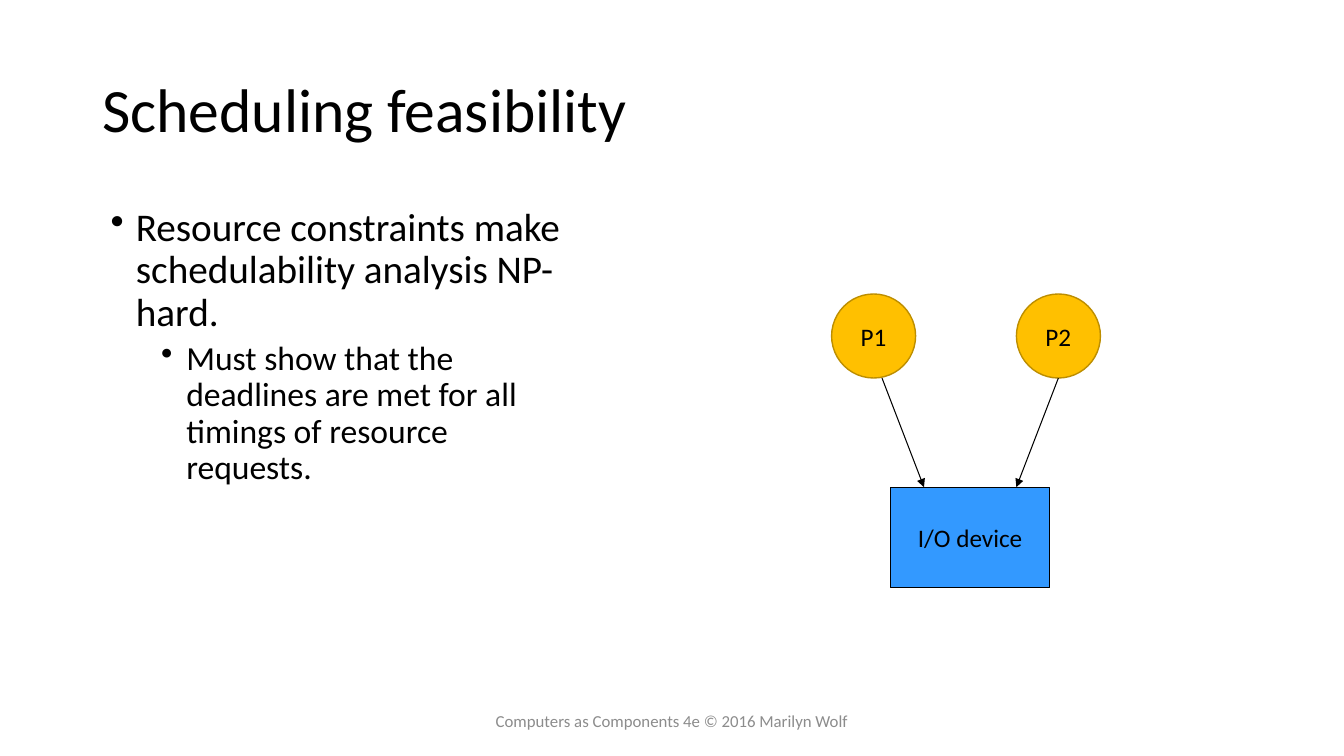
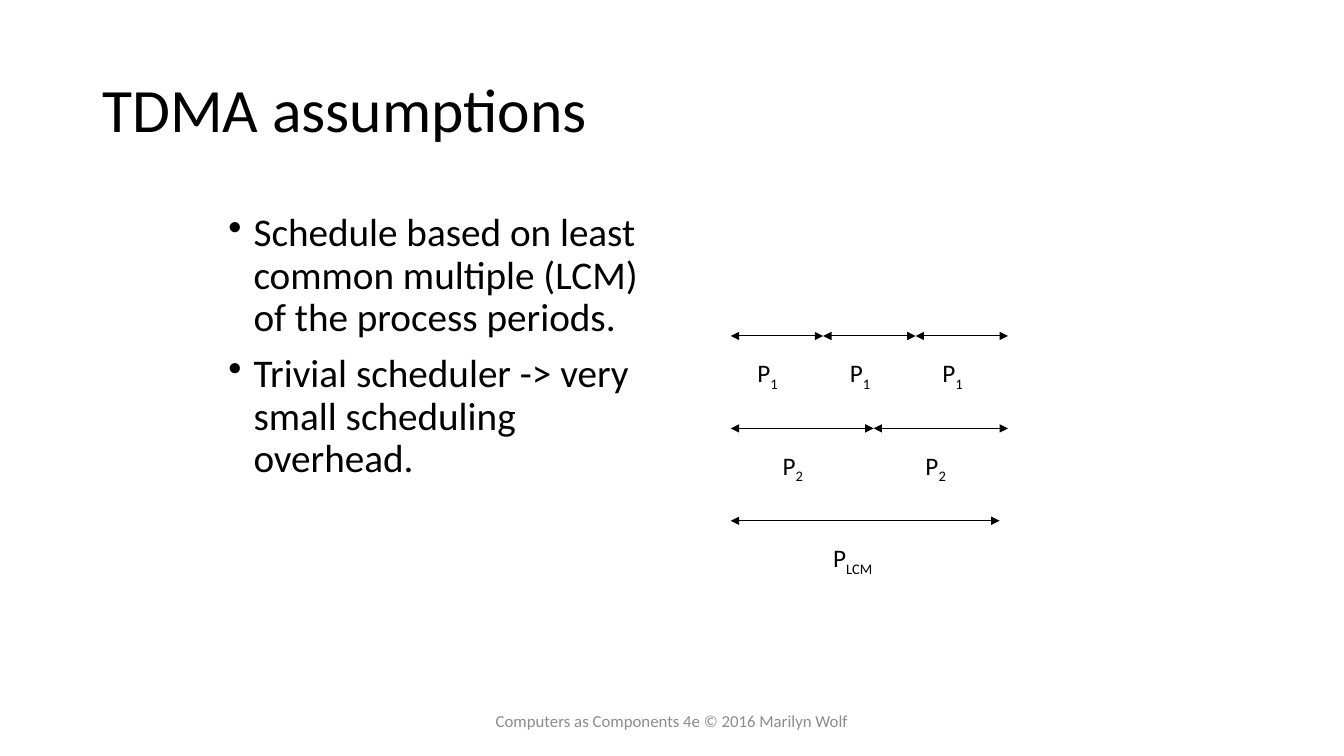
from itertools import pairwise

from lxml import etree
from pptx import Presentation
from pptx.dml.color import RGBColor
from pptx.enum.shapes import MSO_CONNECTOR, MSO_SHAPE
from pptx.enum.text import MSO_ANCHOR, MSO_AUTO_SIZE, PP_ALIGN
from pptx.oxml.ns import qn
from pptx.util import Emu, Pt

OVAL, RECT = MSO_SHAPE.OVAL, MSO_SHAPE.RECTANGLE
STRAIGHT = MSO_CONNECTOR.STRAIGHT
TOP, MIDDLE = MSO_ANCHOR.TOP, MSO_ANCHOR.MIDDLE
LEFT, CENTER = PP_ALIGN.LEFT, PP_ALIGN.CENTER
FIT_SHAPE = MSO_AUTO_SIZE.SHAPE_TO_FIT_TEXT

FONT = "Calibri"
BLACK, GRAY = "000000", "8C8C8C"
GOLD, DARK_GOLD, BLUE = "FFC000", "BD8E00", "3399FF"
FOOTER = "Computers as Components 4e © 2016 Marilyn Wolf"
LEVELS = [(28, 24, 10), (24, 72, 5)]


def px(n):
    return Emu(n * 9525)


def color(value):
    return RGBColor.from_string(value)


def style(font, size, fill=BLACK):
    font.name = FONT
    font.size = Pt(size)
    font.color.rgb = color(fill)


def add_text(s, box, text, size, fill=BLACK, align=LEFT, anchor=TOP, wrap=True):
    sp = s.shapes.add_textbox(*map(px, box))
    tf = sp.text_frame
    tf.word_wrap = wrap
    tf.vertical_anchor = anchor
    p = tf.paragraphs[0]
    p.text = text
    p.alignment = align
    style(p.runs[0].font, size, fill)
    return sp


def add_bullets(s, box, items):
    tf = s.shapes.add_textbox(*map(px, box)).text_frame
    tf.word_wrap = True
    for i, (level, text) in enumerate(items):
        size, indent, space = LEVELS[level]
        p = tf.add_paragraph() if i else tf.paragraphs[0]
        p.text = text
        p.level = level
        pPr = p._p.get_or_add_pPr()
        pPr.set("marL", str(px(indent)))
        pPr.set("indent", str(px(-24)))
        etree.SubElement(pPr, qn("a:buChar")).set("char", "•")
        p.line_spacing = 0.9
        p.space_before = Pt(space if i else 0)
        style(p.runs[0].font, size)


def add_node(s, kind, box, text, fill, line, width):
    sp = s.shapes.add_shape(kind, *map(px, box))
    sp.shadow.inherit = False
    sp.fill.solid()
    sp.fill.fore_color.rgb = color(fill)
    sp.line.color.rgb = color(line)
    sp.line.width = Pt(width)
    tf = sp.text_frame
    tf.word_wrap = False
    tf.vertical_anchor = MIDDLE
    p = tf.paragraphs[0]
    p.text = text
    p.alignment = CENTER
    style(p.runs[0].font, 18)


def add_arrow(s, start, end, ends=("tailEnd",)):
    c = s.shapes.add_connector(STRAIGHT, *map(px, start + end))
    c.line.color.rgb = color(BLACK)
    c.line.width = Pt(0.75)
    ln = c.line._get_or_add_ln()
    for name in ends:
        etree.SubElement(ln, qn(f"a:{name}")).set("type", "triangle")
    etree.SubElement(c._element.spPr, qn("a:effectLst"))


def add_period(s, x1, x2, y, offset, width, subscript):
    add_arrow(s, (x1, y), (x2, y), ("headEnd", "tailEnd"))
    sp = add_text(s, (x1 + offset, y + 16, width, 38), "P", 18, wrap=False)
    tf = sp.text_frame
    tf.auto_size = FIT_SHAPE
    r = tf.paragraphs[0].add_run()
    r.text = subscript
    style(r.font, 18)
    r._r.get_or_add_rPr().set("baseline", "-25000")


def add_slide(prs, title):
    s = prs.slides.add_slide(prs.slide_layouts[6])
    sp = add_text(s, (88, 38, 1104, 139), title, 44, anchor=MIDDLE)
    sp.text_frame.paragraphs[0].line_spacing = 0.9
    add_text(s, (424, 667, 432, 38), FOOTER, 12, GRAY, CENTER, MIDDLE)
    return s


def build_feasibility(prs):
    s = add_slide(prs, "Scheduling feasibility")
    add_bullets(s, (96, 193, 464, 438), [
        (0, "Resource constraints make schedulability analysis NP-hard."),
        (1, "Must show that the deadlines are met for all timings of resource requests."),
    ])
    for x, name in [(792, "P1"), (968, "P2")]:
        add_node(s, OVAL, (x, 280, 80, 80), name, GOLD, DARK_GOLD, 1)
    add_node(s, RECT, (848, 464, 152, 96), "I/O device", BLUE, BLACK, 0.75)
    for x1, x2 in [(840, 880), (1008, 968)]:
        add_arrow(s, (x1, 360), (x2, 464))


def build_tdma(prs):
    s = add_slide(prs, "TDMA assumptions")
    add_bullets(s, (208, 198, 416, 438), [
        (0, "Schedule based on least common multiple (LCM) of the process periods."),
        (0, "Trivial scheduler -> very small scheduling overhead."),
    ])
    rows = [
        ((696, 784, 872, 960), 16, 40, "1"),
        ((696, 832, 960), 40, 40, "2"),
        ((696, 952), 88, 60, "LCM"),
    ]
    for i, (marks, offset, width, subscript) in enumerate(rows):
        for x1, x2 in pairwise(marks):
            add_period(s, x1, x2, 320 + 88 * i, offset, width, subscript)


def main():
    prs = Presentation()
    prs.slide_width, prs.slide_height = px(1280), px(720)
    build_feasibility(prs)
    build_tdma(prs)
    prs.save("out.pptx")


if __name__ == "__main__":
    main()
